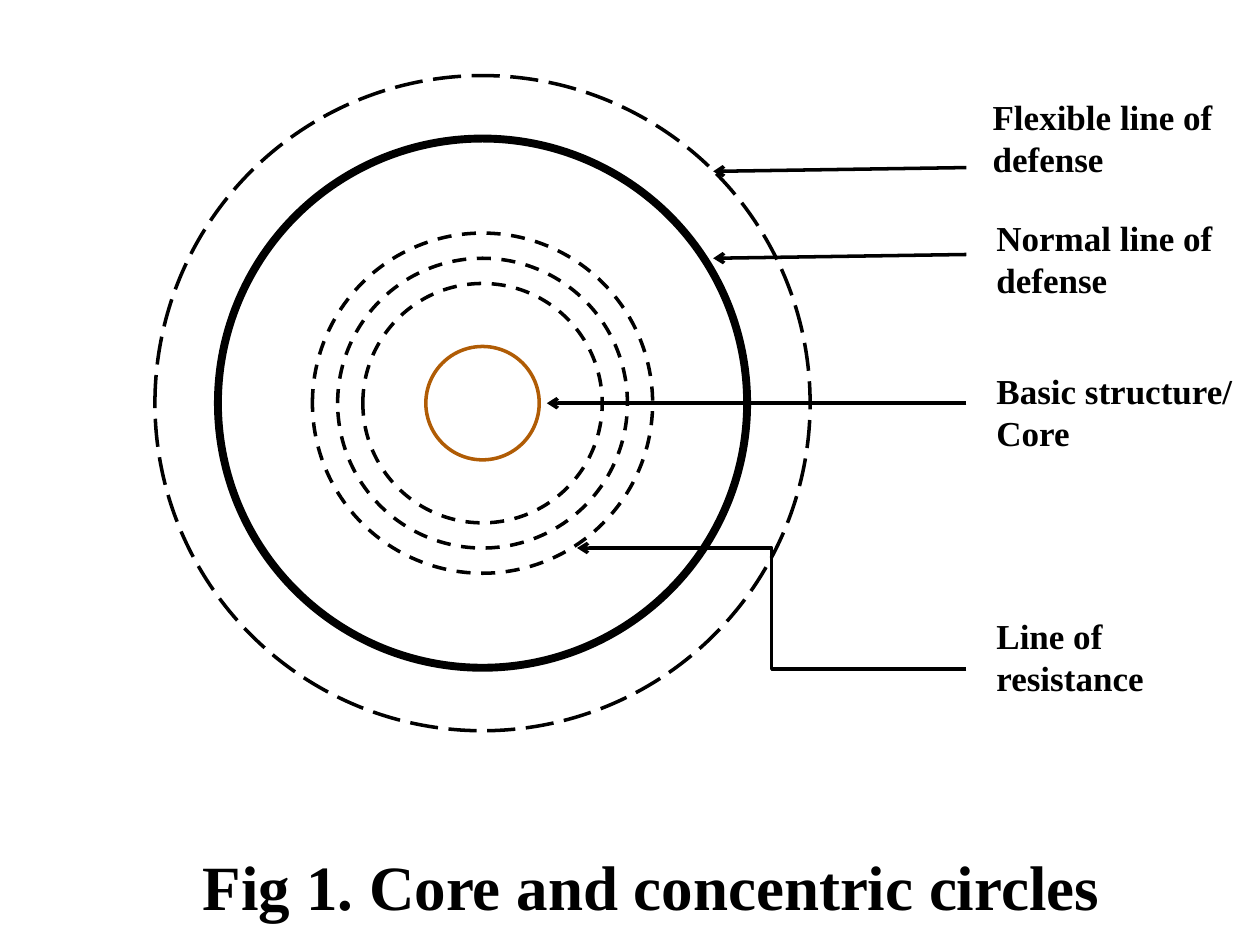
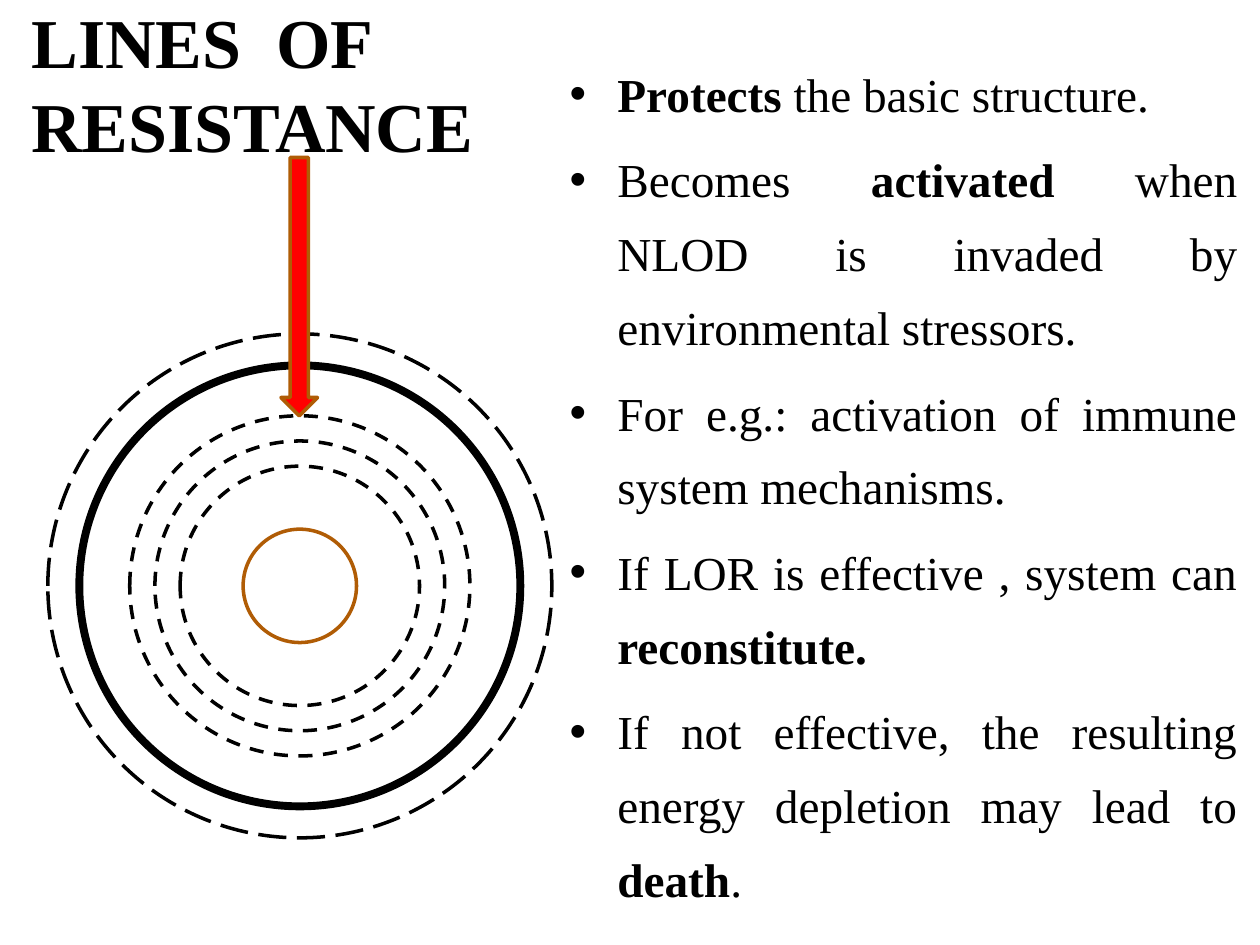
from dataclasses import dataclass

from lxml import etree
from pptx import Presentation
from pptx.dml.color import RGBColor
from pptx.enum import dml, shapes, text
from pptx.oxml import ns
from pptx.util import Inches, Pt


@dataclass(frozen=True)
class Theme:
    """Colours, font, type sizes and line widths shared by the slides."""
    ink: RGBColor = RGBColor(0x00, 0x00, 0x00)
    core: RGBColor = RGBColor(0xB0, 0x5C, 0x05)
    pointer: RGBColor = RGBColor(0xFF, 0x00, 0x00)
    font: str = "Times New Roman"
    caption: float = 36
    heading: float = 40
    body: float = 27
    label: float = 20
    thin: float = 2
    thick: float = 4.5


THEME = Theme()


def add_runs(paragraph, runs, size):
    """Add (wording, bold) runs to a paragraph in the theme's font."""
    for wording, bold in runs:
        run = paragraph.add_run()
        run.text = wording
        run.font.name = THEME.font
        run.font.size = Pt(size)
        run.font.bold = bold
        run.font.color.rgb = THEME.ink


def draw_rings(slide, center_x, center_y, flexible, normal):
    """Draw the concentric rings around a centre, from outside to core."""
    dash = dml.MSO_LINE.DASH
    rings = [
        (flexible, THEME.ink, THEME.thin, dml.MSO_LINE.LONG_DASH),
        (normal, THEME.ink, THEME.thick, None),
        (2.7, THEME.ink, THEME.thin, dash),
        (2.3, THEME.ink, THEME.thin, dash),
        (1.9, THEME.ink, THEME.thin, dash),
        (0.9, THEME.core, THEME.thin, None),
    ]
    for diameter, color, width, dash_style in rings:
        ring = slide.shapes.add_shape(
            shapes.MSO_SHAPE.OVAL,
            Inches(center_x - diameter / 2), Inches(center_y - diameter / 2),
            Inches(diameter), Inches(diameter))
        ring.shadow.inherit = False
        ring.fill.background()
        ring.line.color.rgb = color
        ring.line.width = Pt(width)
        if dash_style:
            ring.line.dash_style = dash_style


prs = Presentation()
prs.slide_width, prs.slide_height = Inches(10), Inches(7.5)
title_only, title_and_content = prs.slide_layouts[5], prs.slide_layouts[1]
figure_slide = prs.slides.add_slide(title_only)
resistance_slide = prs.slides.add_slide(title_and_content)

# Titles
titles = [
    (figure_slide, "Fig 1. Core and concentric circles", THEME.caption,
     (0.67, 6.92, 9, 0.22), text.PP_ALIGN.CENTER, text.MSO_ANCHOR.MIDDLE),
    (resistance_slide, "LINES  OF RESISTANCE", THEME.heading,
     (0.15, 0.5, 4.75, 0.87), text.PP_ALIGN.LEFT, text.MSO_ANCHOR.BOTTOM),
]
for slide, wording, size, box, align, anchor in titles:
    title = slide.shapes.title
    title.left, title.top, title.width, title.height = map(Inches, box)
    title.text_frame.auto_size = text.MSO_AUTO_SIZE.NONE
    title.text_frame.vertical_anchor = anchor
    title.text_frame.paragraphs[0].alignment = align
    add_runs(title.text_frame.paragraphs[0], [(wording, True)], size)

# Slide 1: the rings, with an arrow and a label for each part
draw_rings(figure_slide, 3.83, 3.2, flexible=5.2, normal=4.2)

straight, elbow = shapes.MSO_CONNECTOR.STRAIGHT, shapes.MSO_CONNECTOR.ELBOW
ARROW_START = 7.67
callouts = [
    ("Flexible line of defense", 7.78, 0.71, straight, 1.33, (5.66, 1.36)),
    ("Normal line of defense", 7.81, 1.67, straight, 2.02, (5.66, 2.05)),
    ("Basic structure/ Core", 7.81, 2.88, straight, 3.2, (4.34, 3.2)),
    ("Line of resistance", 7.81, 4.83, elbow, 5.31, (4.58, 4.35)),
]
for wording, left, top, route, start_y, (tip_x, tip_y) in callouts:
    arrow = figure_slide.shapes.add_connector(
        route, Inches(ARROW_START), Inches(start_y),
        Inches(tip_x), Inches(tip_y))
    arrow.line.color.rgb = THEME.ink
    arrow.line.width = Pt(THEME.thin)
    etree.SubElement(arrow.line._get_or_add_ln(), ns.qn("a:tailEnd"), type="arrow")
    etree.SubElement(arrow._element.spPr, ns.qn("a:effectLst"))

    label = figure_slide.shapes.add_textbox(
        Inches(left), Inches(top), Inches(2.17), Inches(0.77))
    label.text_frame.word_wrap = True
    label.text_frame.auto_size = text.MSO_AUTO_SIZE.SHAPE_TO_FIT_TEXT
    add_runs(label.text_frame.paragraphs[0], [(wording, True)], THEME.label)

# Slide 2: the list, and the rings with a pointer to the lines of resistance
points = [
    [("Protects ", True), ("the basic structure. ", False)],
    [("Becomes", False), (" activated ", True),
     ("when NLOD is invaded by environmental stressors.", False)],
    [("For e.g.: activation of immune system mechanisms.", False)],
    [("If LOR is effective , system can ", False), ("reconstitute.", True)],
    [("If not effective, the resulting energy depletion may lead to ", False),
     ("death", True), (".", False)],
]
body = resistance_slide.placeholders[1]
body.left, body.top, body.width, body.height = map(Inches, (4.42, 0.33, 5.5, 7.17))
body.text_frame.auto_size = text.MSO_AUTO_SIZE.NONE
for index, runs in enumerate(points):
    point = body.text_frame.add_paragraph() if index else body.text_frame.paragraphs[0]
    point.alignment = text.PP_ALIGN.JUSTIFY
    point.line_spacing = 1.3
    point.space_before = Pt(6.8)
    properties = point._p.get_or_add_pPr()
    properties.set("marL", str(Inches(0.38)))
    properties.set("indent", str(-Inches(0.38)))
    etree.SubElement(properties, ns.qn("a:buChar"), char="•")
    add_runs(point, runs, THEME.body)

draw_rings(resistance_slide, 2.38, 4.65, flexible=4, normal=3.5)

pointer = resistance_slide.shapes.add_shape(
    shapes.MSO_SHAPE.DOWN_ARROW, Inches(2.23), Inches(1.25), Inches(0.29), Inches(2.05))
pointer.shadow.inherit = False
pointer.fill.solid()
pointer.fill.fore_color.rgb = THEME.pointer
pointer.line.color.rgb = THEME.core
pointer.line.width = Pt(THEME.thin)

prs.save("out.pptx")
